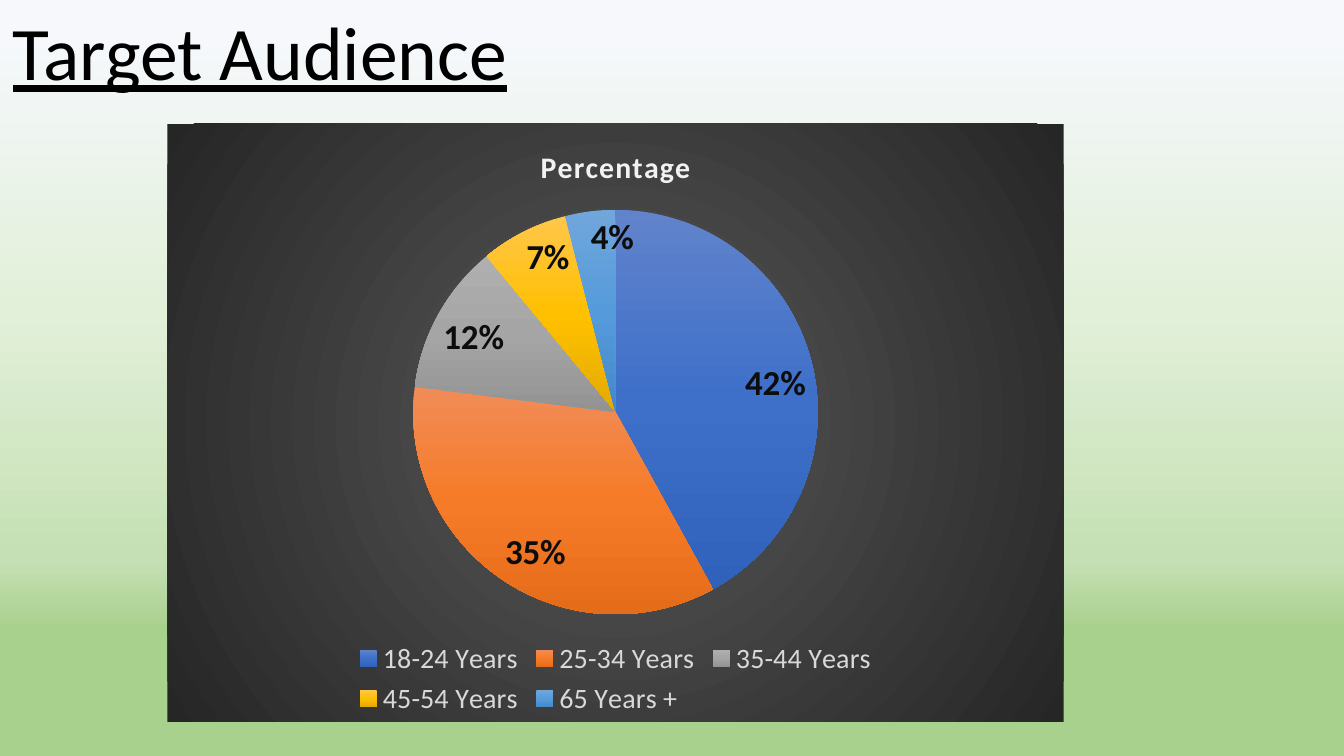
"""Build the Target Audience slide: a title above a pie chart of age groups."""
from pptx import Presentation
from pptx import util as u
from pptx.chart.data import CategoryChartData
from pptx.dml.color import RGBColor
from pptx.enum import chart as charts, text
from pptx.oxml import parse_xml
from pptx.oxml.ns import nsdecls

FONT = "Calibri"
BLACK = RGBColor(0x00, 0x00, 0x00)
LABEL_COLOR = RGBColor(0x0D, 0x0D, 0x0D)
LEGEND_COLOR = RGBColor(0xD9, 0xD9, 0xD9)
HEADING_COLOR = RGBColor(0xF2, 0xF2, 0xF2)
PALE_BLUE = RGBColor(0xF6, 0xF8, 0xFC)
PALE_GREEN = RGBColor(0xE2, 0xF0, 0xD9)
LIGHT_GREEN = RGBColor(0xC5, 0xE0, 0xB4)
GREEN = RGBColor(0xA9, 0xD1, 0x8E)
GRAY = RGBColor(0x59, 0x59, 0x59)
DARK_GRAY = RGBColor(0x26, 0x26, 0x26)

BACKGROUND_STOPS = [(4, PALE_BLUE), (41, PALE_GREEN), (74, LIGHT_GREEN), (83, GREEN), (86, GREEN)]
CHART_STOPS = [(0, GRAY), (100, DARK_GRAY)]
SLICE_POSITIONS = (0, 50, 100)
DOWNWARD = '<a:lin ang="5400000" scaled="0"/>'
FROM_CENTER = '<a:path path="circle"><a:fillToRect l="50000" t="50000" r="50000" b="50000"/></a:path>'

AGE_GROUPS = [
    ("18-24 Years", 42, (RGBColor(0x61, 0x83, 0xCB), RGBColor(0x3E, 0x70, 0xCA), RGBColor(0x30, 0x62, 0xBB))),
    ("25-34 Years", 35, (RGBColor(0xF1, 0x8C, 0x57), RGBColor(0xF6, 0x7B, 0x28), RGBColor(0xE5, 0x6C, 0x19))),
    ("35-44 Years", 12, (RGBColor(0xAF, 0xAF, 0xAF), RGBColor(0xA5, 0xA5, 0xA5), RGBColor(0x93, 0x93, 0x93))),
    ("45-54 Years", 7, (RGBColor(0xFF, 0xC6, 0x4B), RGBColor(0xFF, 0xC0, 0x00), RGBColor(0xE3, 0xAB, 0x00))),
    ("65 Years +", 4, (RGBColor(0x71, 0xA6, 0xDB), RGBColor(0x55, 0x9B, 0xDB), RGBColor(0x44, 0x8A, 0xCA))),
]


def gradient(stops, direction):
    """Return a gradient fill element for the stops."""
    marks = "".join(
        f'<a:gs pos="{position * 1000}"><a:srgbClr val="{color}"/></a:gs>' for position, color in stops
    )
    return parse_xml(
        f'<a:gradFill {nsdecls("a")} rotWithShape="1"><a:gsLst>{marks}</a:gsLst>{direction}</a:gradFill>'
    )


def replace_fill(fill, root, query, stops):
    """Put a downward gradient where the solid fill would be."""
    fill.solid()
    solid = root.xpath(query)[0]
    solid.getparent().replace(solid, gradient(stops, DOWNWARD))


def style_font(font, size, color, bold=False):
    """Set family, size, colour and weight of a font."""
    font.name = FONT
    font.size = u.Pt(size)
    font.color.rgb = color
    font.bold = bold


def add_title(slide, wording):
    """Place the underlined slide title."""
    title = slide.shapes.title
    title.left, title.top = u.Inches(0), u.Inches(0)
    title.width, title.height = u.Inches(5.16), u.Inches(1.01)
    frame = title.text_frame
    frame.text = wording
    frame.word_wrap = False
    frame.auto_size = text.MSO_AUTO_SIZE.SHAPE_TO_FIT_TEXT
    frame.vertical_anchor = text.MSO_ANCHOR.TOP
    paragraph = frame.paragraphs[0]
    paragraph.alignment = text.PP_ALIGN.CENTER
    font = paragraph.runs[0].font
    style_font(font, 54, BLACK)
    font.underline = True


def add_pie(slide, heading):
    """Add the pie chart on its dark panel."""
    data = CategoryChartData()
    data.categories = [name for name, _, _ in AGE_GROUPS]
    data.add_series(heading, [value for _, value, _ in AGE_GROUPS])
    chart = slide.shapes.add_chart(
        charts.XL_CHART_TYPE.PIE, u.Inches(1.66), u.Inches(1.23), u.Inches(8.89), u.Inches(5.93), data
    ).chart
    style_font(chart.font, 10, BLACK)
    panel = parse_xml(f'<c:spPr {nsdecls("c", "a")}><a:ln><a:noFill/></a:ln></c:spPr>')
    panel.insert(0, gradient(CHART_STOPS, FROM_CENTER))
    chart.element.xpath("./c:txPr")[0].addprevious(panel)
    style_heading(chart, heading)
    style_legend(chart)
    style_slices(chart)


def style_heading(chart, heading):
    """Set the chart title with widened letter spacing."""
    chart.has_title = True
    frame = chart.chart_title.text_frame
    frame.text = heading
    style_font(frame.paragraphs[0].runs[0].font, 21.3, HEADING_COLOR, True)
    chart.element.xpath(".//c:title//a:r/a:rPr")[0].set("spc", "100")
    chart.chart_title.include_in_layout = False


def style_legend(chart):
    """Show the legend below the pie."""
    chart.has_legend = True
    chart.legend.position = charts.XL_LEGEND_POSITION.BOTTOM
    chart.legend.include_in_layout = False
    style_font(chart.legend.font, 20, LEGEND_COLOR)


def style_slices(chart):
    """Colour the slices and label them with percentages."""
    plot = chart.plots[0]
    plot.vary_by_categories = True
    for index, (_, _, colors) in enumerate(AGE_GROUPS):
        point_format = plot.series[0].points[index].format
        point_format.line.fill.background()
        replace_fill(
            point_format.fill, chart.element, ".//c:dPt/c:spPr/a:solidFill", zip(SLICE_POSITIONS, colors)
        )
    labels = plot.series[0].data_labels
    labels.show_value = False
    labels.show_percentage = True
    labels.number_format = "0%"
    labels.number_format_is_linked = False
    labels.position = charts.XL_LABEL_POSITION.INSIDE_END
    style_font(labels.font, 25, LABEL_COLOR, True)


def main():
    """Build and save the presentation."""
    presentation = Presentation()
    presentation.slide_width = u.Inches(13.33)
    presentation.slide_height = u.Inches(7.5)
    slide = presentation.slides.add_slide(presentation.slide_layouts[5])
    replace_fill(slide.background.fill, slide.element, ".//p:bgPr/a:solidFill", BACKGROUND_STOPS)
    add_title(slide, "Target Audience")
    add_pie(slide, "Percentage")
    presentation.save("out.pptx")


if __name__ == "__main__":
    main()
